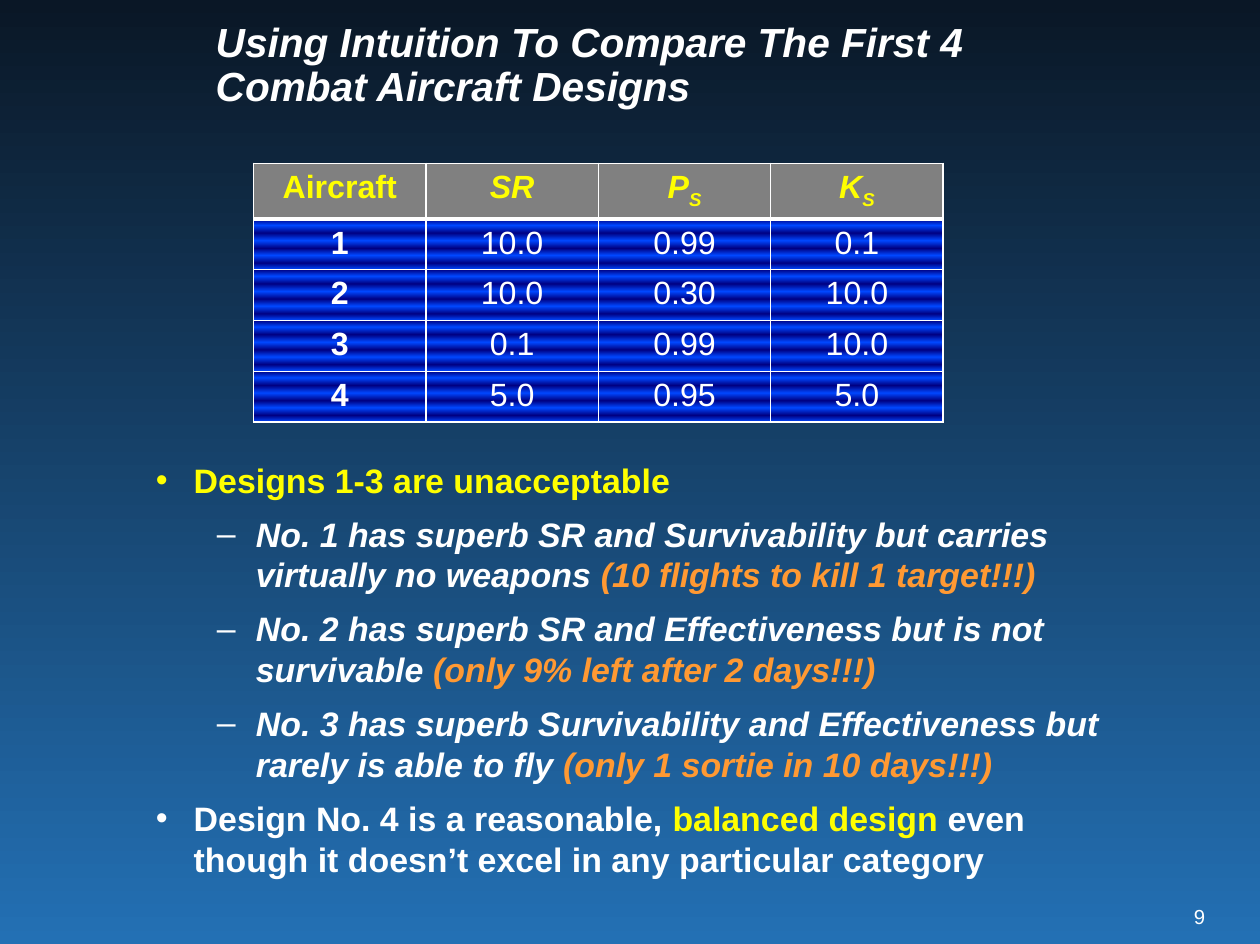
from dataclasses import dataclass

from lxml.etree import SubElement
from pptx import Presentation
from pptx.dml.color import RGBColor
from pptx.enum.text import MSO_ANCHOR as Anchor, MSO_AUTO_SIZE as AutoSize, PP_ALIGN as Align
from pptx.oxml import parse_xml
from pptx.oxml.ns import nsdecls, qn
from pptx.util import Inches, Pt

WIDTH, HEIGHT = Inches(10.34), Inches(7.75)


@dataclass(frozen=True)
class Theme:
    """Colours, font and type sizes of the slide."""
    font: str = "Arial"
    white: str = "FFFFFF"
    yellow: str = "FFFF00"
    orange: str = "FF9933"
    header: str = "808080"
    backdrop: tuple = ((0, "0A1726"), (100, "2370B4"))
    bands: tuple = tuple(
        (stop, ("000082", "0047FF")[index % 2])
        for index, stop in enumerate((0, 13, 28, 43, 58, 72, 87, 100)))
    title_size: int = 24
    body_size: int = 20
    table_size: int = 19
    number_size: int = 12


THEME = Theme()
WHITE, YELLOW, ORANGE = THEME.white, THEME.yellow, THEME.orange

TITLE = "Using Intuition To Compare The First 4 Combat Aircraft Designs"
HEADINGS = (("Aircraft", ""), ("SR", ""), ("P", "S"), ("K", "S"))
DESIGNS = (
    ("1", "10.0", "0.99", "0.1"),
    ("2", "10.0", "0.30", "10.0"),
    ("3", "0.1", "0.99", "10.0"),
    ("4", "5.0", "0.95", "5.0"),
)
POINTS = (
    (0, (("Designs 1-3 are unacceptable", YELLOW),)),
    (1, (("No. 1 has superb SR and Survivability but carries virtually no weapons ", WHITE),
         ("(10 flights to kill 1 target!!!)", ORANGE))),
    (1, (("No. 2 has superb SR and Effectiveness but is not survivable ", WHITE),
         ("(only 9% left after 2 days!!!)", ORANGE))),
    (1, (("No. 3 has superb Survivability and Effectiveness but rarely is able to fly ", WHITE),
         ("(only 1 sortie in 10 days!!!)", ORANGE))),
    (0, (("Design No. 4 is a reasonable, ", WHITE),
         ("balanced design", YELLOW),
         (" even though it doesn’t excel in any particular category", WHITE))),
)
BULLETS = (("•", 0.31, -0.31), ("–", 0.82, -0.32))


def across(percent):
    """Return a percentage of the slide width."""
    return round(WIDTH * percent / 100)


def down(percent):
    """Return a percentage of the slide height."""
    return round(HEIGHT * percent / 100)


def area(left, top, width, height):
    """Turn percentages of the slide into a left, top, width, height tuple."""
    return across(left), down(top), across(width), down(height)


def assign(target, values):
    """Set every attribute named in a dict."""
    for name, value in values.items():
        setattr(target, name, value)


def place(shape, bounds):
    """Move and size a placeholder."""
    assign(shape, dict(zip(("left", "top", "width", "height"), bounds)))


def add_span(para, text, size, colour, bold=False, italic=False):
    """Add one formatted run to a paragraph."""
    span = para.add_run()
    span.text = text
    assign(span.font, {"name": THEME.font, "size": Pt(size), "bold": bold, "italic": italic})
    span.font.color.rgb = RGBColor.from_string(colour)
    return span


def paint_gradient(fill, owner, stops):
    """Give a fill a downward gradient with the listed stops."""
    fill.gradient()
    fill.gradient_angle = 270
    stop_list = owner.find(".//" + qn("a:gsLst"))
    stop_list.clear()
    for position, colour in stops:
        stop = SubElement(stop_list, qn("a:gs"), pos=str(position * 1000))
        SubElement(stop, qn("a:srgbClr"), val=colour)


def add_borders(cell, top, bottom):
    """Draw white cell borders, with the top and bottom widths in points."""
    properties = cell._tc.get_or_add_tcPr()
    for index, (side, width) in enumerate((("L", 1), ("R", 1), ("T", top), ("B", bottom))):
        properties.insert(index, parse_xml(
            f'<a:ln{side} {nsdecls("a")} w="{Pt(width)}"><a:solidFill>'
            f'<a:srgbClr val="{WHITE}"/></a:solidFill></a:ln{side}>'))


def set_title(page):
    """Fill the title placeholder."""
    box = page.shapes.title
    place(box, area(16.15, 0, 72.53, 13.94))
    assign(box.text_frame, {"auto_size": AutoSize.NONE, "vertical_anchor": Anchor.MIDDLE,
                            "word_wrap": True})
    para = box.text_frame.paragraphs[0]
    assign(para, {"alignment": Align.LEFT, "line_spacing": Pt(26), "space_before": Pt(0)})
    add_span(para, TITLE, THEME.title_size, WHITE, bold=True, italic=True)


def set_points(page):
    """Fill the body placeholder with the two-level list."""
    box = page.placeholders[1]
    place(box, area(11.41, 48, 79.5, 47.35))
    frame = box.text_frame
    assign(frame, {"auto_size": AutoSize.NONE, "vertical_anchor": Anchor.TOP, "word_wrap": True})
    for index, (level, spans) in enumerate(POINTS):
        para = frame.add_paragraph() if index else frame.paragraphs[0]
        mark, margin, indent = BULLETS[level]
        properties = para._p.get_or_add_pPr()
        properties.set("marL", str(Inches(margin)))
        properties.set("indent", str(Inches(indent)))
        SubElement(properties, qn("a:buFont"), typeface=THEME.font)
        SubElement(properties, qn("a:buChar"), char=mark)
        assign(para, {"level": level, "alignment": Align.LEFT, "line_spacing": Pt(24),
                      "space_before": Pt(4 if index else 0), "space_after": Pt(4)})
        for text, colour in spans:
            add_span(para, text, THEME.body_size, colour, bold=True, italic=level == 1)


def fill_heading(cell, text, subscript, italic):
    """Write a heading cell with an optional subscript."""
    cell.fill.solid()
    cell.fill.fore_color.rgb = RGBColor.from_string(THEME.header)
    add_borders(cell, 1, 3)
    para = cell.text_frame.paragraphs[0]
    para.alignment = Align.CENTER
    add_span(para, text, THEME.table_size, YELLOW, bold=True, italic=italic)
    if subscript:
        span = add_span(para, subscript, THEME.table_size, YELLOW, bold=True, italic=italic)
        span.font._element.set("baseline", "-25000")


def fill_value(cell, text, bold, top):
    """Write a value cell on the banded gradient."""
    paint_gradient(cell.fill, cell._tc, THEME.bands)
    add_borders(cell, top, 1)
    para = cell.text_frame.paragraphs[0]
    para.alignment = Align.CENTER
    add_span(para, text, THEME.table_size, WHITE, bold=bold)


def add_designs(page):
    """Add the table that compares the aircraft designs."""
    bounds = area(20.12, 17.29, 54.74, 27.42)
    table = page.shapes.add_table(len(DESIGNS) + 1, len(HEADINGS), *bounds).table
    assign(table, {"first_row": False, "horz_banding": False})
    for index, row in enumerate(table.rows):
        row.height = down(5.38 if index else 5.9)
    for column, (text, subscript) in enumerate(HEADINGS):
        fill_heading(table.cell(0, column), text, subscript, italic=column > 0)
    for row, design in enumerate(DESIGNS, 1):
        for column, text in enumerate(design):
            fill_value(table.cell(row, column), text, column == 0, 3 if row == 1 else 1)


def add_number(page, number):
    """Add the page number in the lower right corner."""
    frame = page.shapes.add_textbox(*area(93.71, 95.74, 1.93, 2.58)).text_frame
    margins = dict.fromkeys(("margin_left", "margin_top", "margin_right", "margin_bottom"), 0)
    assign(frame, {"word_wrap": True, **margins})
    para = frame.paragraphs[0]
    para.alignment = Align.RIGHT
    add_span(para, number, THEME.number_size, WHITE)


def main():
    """Build and save the slide."""
    deck = Presentation()
    assign(deck, {"slide_width": WIDTH, "slide_height": HEIGHT})
    page = deck.slides.add_slide(deck.slide_layouts[1])
    paint_gradient(page.background.fill, page.element, THEME.backdrop)
    set_title(page)
    set_points(page)
    add_designs(page)
    add_number(page, "9")
    deck.save("out.pptx")


if __name__ == "__main__":
    main()
